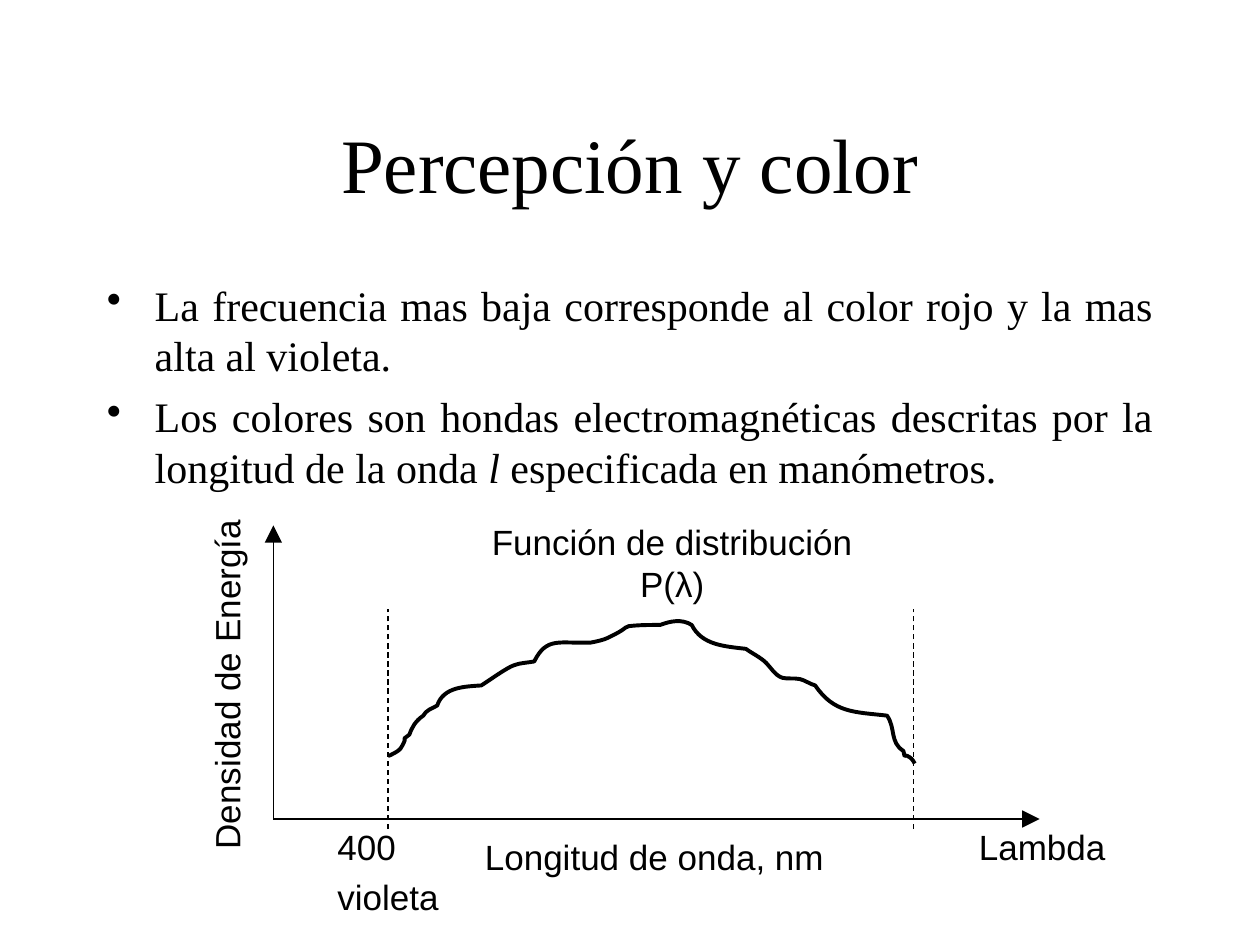
from dataclasses import dataclass

from lxml.etree import SubElement
from pptx import Presentation
from pptx.dml.color import RGBColor
from pptx.enum.dml import MSO_LINE_DASH_STYLE as Dash
from pptx.enum.text import MSO_ANCHOR as Anchor, MSO_AUTO_SIZE as AutoSize, PP_ALIGN as Align
from pptx.oxml.ns import qn
from pptx.util import Inches, Pt


@dataclass(frozen=True)
class Theme:
    ink: RGBColor = RGBColor(0, 0, 0)
    paper: RGBColor = RGBColor(255, 255, 255)
    serif: str = "Times New Roman"
    sans: str = "Arial"
    title_size: float = 44
    body_size: float = 24
    label_size: float = 20
    thin: float = 0.75
    thick: float = 2.25


@dataclass(frozen=True)
class Label:
    lines: tuple[str, ...]
    left: float
    top: float
    width: float
    height: float
    align: Align = Align.LEFT
    before: float = 5
    rotation: float = 0


@dataclass(frozen=True)
class Rule:
    start: tuple[float, float]
    end: tuple[float, float]
    arrow: bool = False


THEME = Theme()
ORIGIN = (2.17, 6.5)
LABELS = (
    Label(("400", "violeta"), 2.58, 6.5, 1.17, 0.84),
    Label(("Lambda",), 7.67, 6.5, 1.42, 0.44),
    Label(("Densidad de Energía",), 0.34, 5.16, 2.92, 0.44, before=12.5, rotation=270),
    Label(("Longitud de onda, nm",), 3.75, 6.58, 3, 0.44),
    Label(("Función de distribución P(λ)",), 3.75, 4.08, 3.17, 0.77, align=Align.CENTER),
)
AXES = tuple(Rule(ORIGIN, end, arrow=True) for end in ((2.17, 4.17), (8.25, 6.5)))
LIMITS = tuple(Rule((x, 6.58), (x, 4.83)) for x in (3.08, 7.25))

# Each curve piece: two control points and an end point
CURVE_START = (3.08, 6)
CURVE = (
    (3.09, 6, 3.17, 5.96, 3.18, 5.94), (3.26, 5.81, 3.16, 5.9, 3.25, 5.83),
    (3.27, 5.77, 3.3, 5.72, 3.36, 5.68), (3.39, 5.63, 3.42, 5.63, 3.47, 5.6),
    (3.52, 5.45, 3.69, 5.45, 3.82, 5.44), (3.87, 5.41, 4.02, 5.3, 4.08, 5.28),
    (4.13, 5.26, 4.19, 5.26, 4.24, 5.25), (4.34, 5.05, 4.44, 5.11, 4.69, 5.1),
    (4.74, 5.09, 4.79, 5.08, 4.83, 5.06), (4.87, 5.04, 4.91, 5.02, 4.94, 5),
    (4.96, 4.99, 4.97, 4.97, 4.99, 4.97), (5.07, 4.96, 5.15, 4.96, 5.24, 4.96),
    (5.32, 4.93, 5.41, 4.91, 5.49, 4.96), (5.57, 5.12, 5.75, 5.13, 5.92, 5.15),
    (5.96, 5.18, 6.04, 5.22, 6.08, 5.26), (6.12, 5.3, 6.15, 5.36, 6.21, 5.38),
    (6.25, 5.39, 6.3, 5.38, 6.35, 5.39), (6.39, 5.4, 6.43, 5.43, 6.47, 5.44),
    (6.62, 5.66, 6.78, 5.65, 7.04, 5.68), (7.11, 5.78, 7.06, 5.89, 7.17, 5.96),
    (7.19, 6.04, 7.16, 5.97, 7.22, 6.01), (7.24, 6.02, 7.26, 6.06, 7.26, 6.06),
)


def place(box, left: float, top: float, width: float, height: float) -> None:
    box.left, box.top = Inches(left), Inches(top)
    box.width, box.height = Inches(width), Inches(height)


def write(para, text: str, *, font: str, size: float, align=Align.LEFT,
          before: float = 0, italic: bool = False) -> None:
    """Append a formatted span to a paragraph."""
    para.alignment = align
    para.space_before = Pt(before)
    span = para.add_run()
    span.text = text
    span.font.name, span.font.size = font, Pt(size)
    span.font.italic = italic
    span.font.color.rgb = THEME.ink


def paragraph(frame, index: int):
    return frame.paragraphs[0] if index == 0 else frame.add_paragraph()


def add_bullet(para) -> None:
    props = para._p.get_or_add_pPr()
    props.set("marL", str(Inches(0.38)))
    props.set("indent", str(-Inches(0.38)))
    SubElement(props, qn("a:buChar"), char="•")


def add_label(page, label: Label) -> None:
    box = page.shapes.add_textbox(0, 0, 0, 0)
    place(box, label.left, label.top, label.width, label.height)
    box.rotation = label.rotation
    frame = box.text_frame
    frame.word_wrap = True
    frame.auto_size = AutoSize.SHAPE_TO_FIT_TEXT
    for index, line in enumerate(label.lines):
        write(paragraph(frame, index), line, font=THEME.sans, size=THEME.label_size,
              align=label.align, before=label.before)


def add_rule(page, rule: Rule) -> None:
    """Draw an axis with an arrowhead, or a dashed limit."""
    points = [Inches(value) for value in (*rule.start, *rule.end)]
    connector = page.shapes.add_connector(1, *points)
    connector.line.color.rgb = THEME.ink
    connector.line.width = Pt(THEME.thin)
    if rule.arrow:
        SubElement(connector.line._get_or_add_ln(), qn("a:tailEnd"),
                   type="triangle", w="lg", len="lg")
    else:
        connector.line.dash_style = Dash.DASH
    SubElement(connector._element.spPr, qn("a:effectLst"))


def add_curve(page) -> None:
    """Lay out all points as segments, then join each three into a cubic piece."""
    points = [(Inches(piece[i]), Inches(piece[i + 1])) for piece in CURVE for i in (0, 2, 4)]
    builder = page.shapes.build_freeform(*map(Inches, CURVE_START))
    builder.add_line_segments(points, close=False)
    curve = builder.convert_to_shape()
    segments = list(curve._element.iter(qn("a:lnTo")))
    outline = segments[0].getparent()
    for first in range(0, len(segments), 3):
        cubic = SubElement(outline, qn("a:cubicBezTo"))
        for segment in segments[first:first + 3]:
            cubic.append(segment[0])
            outline.remove(segment)
    curve.shadow.inherit = False
    curve.fill.background()
    curve.line.color.rgb = THEME.ink
    curve.line.width = Pt(THEME.thick)


def add_title(page) -> None:
    title = page.shapes.title
    place(title, 0.75, 0.67, 8.5, 1.25)
    title.text_frame.auto_size = AutoSize.NONE
    title.text_frame.vertical_anchor = Anchor.MIDDLE
    write(title.text_frame.paragraphs[0], "Percepción y color", font=THEME.serif,
          size=THEME.title_size, align=Align.CENTER)


def add_body(page) -> None:
    box = page.shapes.add_textbox(0, 0, 0, 0)
    place(box, 0.75, 2.17, 8.5, 4.5)
    box.text_frame.word_wrap = True
    bullets = (
        (("La frecuencia mas baja corresponde al color rojo y la mas alta al violeta.", False),),
        (("Los colores son hondas electromagnéticas descritas por la longitud de la onda ", False),
         ("l", True), (" especificada en manómetros.", False)),
    )
    for index, spans in enumerate(bullets):
        para = paragraph(box.text_frame, index)
        for text, italic in spans:
            write(para, text, font=THEME.serif, size=THEME.body_size,
                  align=Align.JUSTIFY, before=6, italic=italic)
        add_bullet(para)


def main() -> None:
    deck = Presentation()
    deck.slide_width, deck.slide_height = Inches(10), Inches(7.5)
    page = deck.slides.add_slide(deck.slide_layouts[5])
    page.background.fill.solid()
    page.background.fill.fore_color.rgb = THEME.paper
    add_title(page)
    add_body(page)
    # Distribution diagram
    for rule in AXES + LIMITS:
        add_rule(page, rule)
    add_curve(page)
    for label in LABELS:
        add_label(page, label)
    deck.save("out.pptx")


if __name__ == "__main__":
    main()
